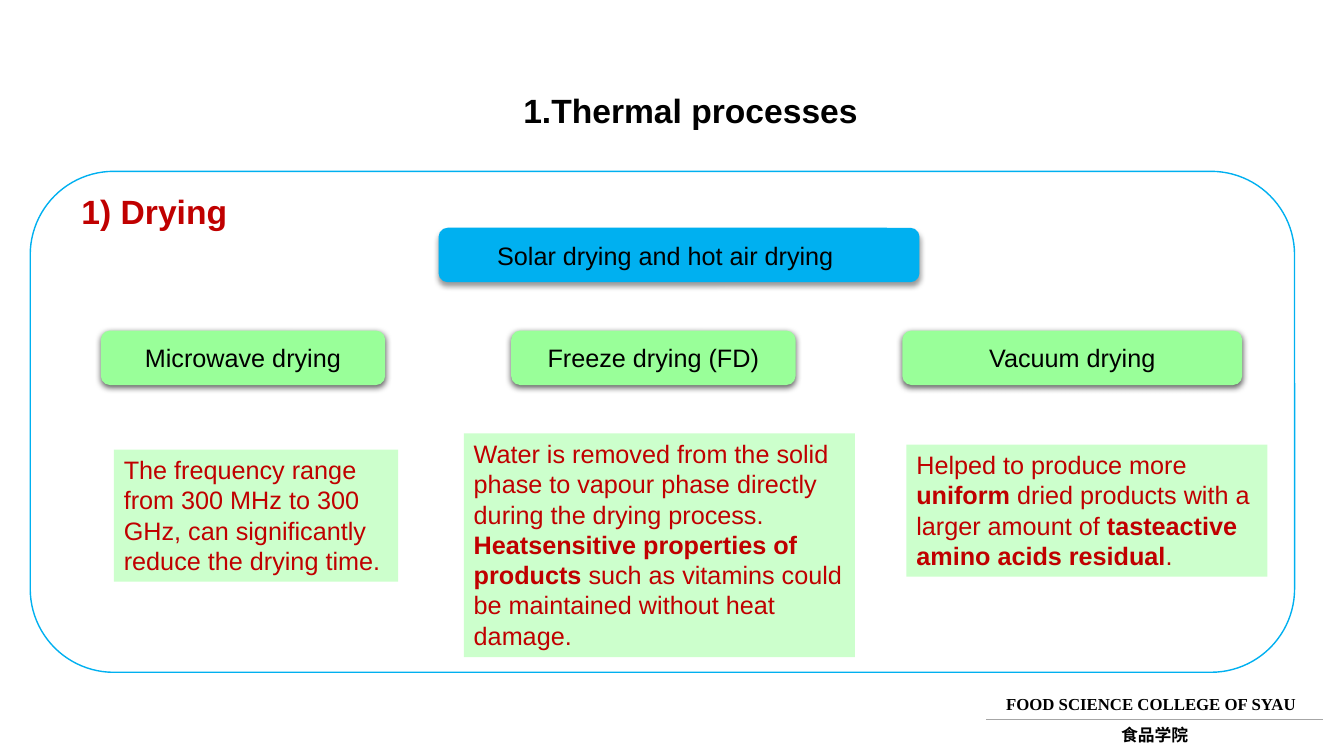
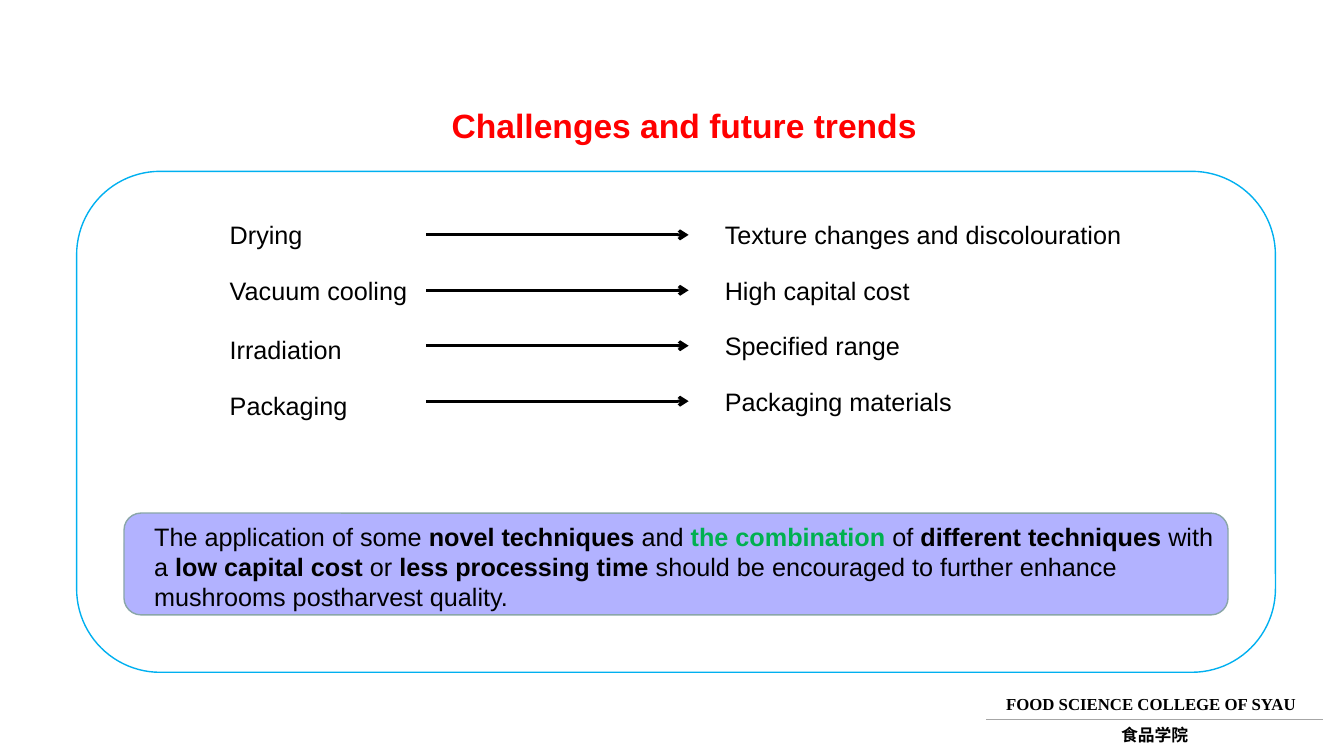
from lxml.etree import SubElement
from pptx import Presentation
from pptx.dml.color import RGBColor
from pptx.enum.shapes import MSO_CONNECTOR, MSO_SHAPE
from pptx.enum.text import MSO_ANCHOR, MSO_AUTO_SIZE, PP_ALIGN
from pptx.oxml.ns import qn
from pptx.util import Inches, Pt

# Shared look
COLORS = {
    "black": "000000", "white": "FFFFFF", "gray": "A6A6A6", "red": "FF0000",
    "dark_red": "C00000", "blue": "00B0F0", "green": "99FF99",
    "pale_green": "CCFFCC", "leaf": "00B050", "violet": "9999FF", "slate": "8AA6A8",
}
BODY_FONT = "Arial"
BODY_SIZE = 18
HEADING_SIZE = 24
TEXT_MARGINS = (0.1, 0.05, 0.1, 0.05)
PANEL_TOP, PANEL_HEIGHT = 1.7, 4.97

# Footer: text, font, box
FOOTER_TEXTS = [
    ("FOOD SCIENCE COLLEGE OF SYAU", "Times New Roman", (9.88, 6.83, 3.17, 0.3)),
    ("食品学院", "Noto Sans CJK SC", (11.02, 7.14, 0.88, 0.3)),
]

# Slide 1: a button with its note; a run is (text, bold)
BUTTON_TOP, BUTTON_HEIGHT = 3.28, 0.54
METHODS = [
    {"name": "Microwave drying", "left": 1, "width": 2.82,
     "note_box": (1.13, 4.46, 2.82, 1.31),
     "note": [[("The frequency range from 300 MHz to 300 GHz, can significantly "
                "reduce the drying time.", False)]]},
    {"name": "Freeze drying (FD)", "left": 5.07, "width": 2.82,
     "note_box": (4.6, 4.3, 3.88, 2.22),
     "note": [[("Water is removed from the solid phase to vapour phase directly "
                "during the drying process. ", False),
               ("Heatsensitive properties of products", True),
               (" such as vitamins could be maintained without heat damage.", False)]]},
    {"name": "Vacuum drying", "left": 8.95, "width": 3.37,
     "note_box": (8.99, 4.41, 3.58, 1.31),
     "note": [[("Helped to produce more ", False), ("uniform", True),
               (" dried products with a larger amount of ", False),
               ("tasteactive", True)],
              [("amino acids residual", True), (".", False)]]},
]

# Slide 2: technique, its drop below the row, challenge
CHALLENGES = [
    ("Drying", 0, "Texture changes and discolouration"),
    ("Vacuum cooling", 0, "High capital cost"),
    ("Irradiation", 0.04, "Specified range"),
    ("Packaging", 0.04, "Packaging materials"),
]
ROW_TOP, ROW_STEP, ROW_HEIGHT = 2.13, 0.55, 0.4
CONCLUSION = [[
    ("The application of some ", False), ("novel techniques ", True),
    ("and ", False), ("the combination ", True, "leaf"), ("of ", False),
    ("different techniques", True), (" with a ", False),
    ("low capital cost ", True), ("or ", False), ("less processing time ", True),
    ("should be encouraged to further enhance mushrooms postharvest quality.", False),
]]


def rgb(name):
    return RGBColor.from_string(COLORS[name])


def place(box):
    return [Inches(value) for value in box]


def write(shape, paragraphs, color="black", size=BODY_SIZE, font=BODY_FONT,
          align=PP_ALIGN.LEFT, anchor=MSO_ANCHOR.TOP, margins=TEXT_MARGINS):
    """Fill a shape with paragraphs of (text, bold[, color]) runs."""
    frame = shape.text_frame
    frame.word_wrap = True
    frame.auto_size = MSO_AUTO_SIZE.NONE
    frame.vertical_anchor = anchor
    (frame.margin_left, frame.margin_top,
     frame.margin_right, frame.margin_bottom) = place(margins)
    for index, runs in enumerate(paragraphs):
        para = frame.paragraphs[0] if index == 0 else frame.add_paragraph()
        para.alignment = align
        for text, bold, *own_color in runs:
            span = para.add_run()
            span.text = text
            span.font.name = font
            span.font.size = Pt(size)
            span.font.bold = bold
            span.font.color.rgb = rgb(own_color[0] if own_color else color)
            SubElement(span.font._element, qn("a:ea"), typeface=font)


def add_text(page, box, text, bold=False, **style):
    write(page.shapes.add_textbox(*place(box)), [[(text, bold)]], **style)


def add_box(page, kind, box, fill, line=None):
    shape = page.shapes.add_shape(kind, *place(box))
    shape.shadow.inherit = False
    shape.fill.solid()
    shape.fill.fore_color.rgb = rgb(fill)
    if line:
        shape.line.color.rgb = rgb(line)
        shape.line.width = Pt(1)
    else:
        shape.line.fill.background()
    return shape


def add_line(page, start, end, color, width):
    line = page.shapes.add_connector(MSO_CONNECTOR.STRAIGHT, *place(start + end))
    line.line.color.rgb = rgb(color)
    line.line.width = Pt(width)
    SubElement(line.element.spPr, qn("a:effectLst"))
    return line


def add_button(page, box, text, fill, shadow, margins=TEXT_MARGINS):
    """Rounded button with a downward shadow of (opacity, blur, distance)."""
    button = add_box(page, MSO_SHAPE.ROUNDED_RECTANGLE, box, fill)
    opacity, blur, distance = shadow
    effects = button.element.spPr.find(qn("a:effectLst"))
    outer = SubElement(effects, qn("a:outerShdw"), blurRad=str(Pt(blur)),
                       dist=str(Pt(distance)), dir="5400000", rotWithShape="0")
    tint = SubElement(outer, qn("a:srgbClr"), val=COLORS["black"])
    SubElement(tint, qn("a:alpha"), val=str(opacity * 1000))
    write(button, [[(text, False)]], align=PP_ALIGN.CENTER,
          anchor=MSO_ANCHOR.MIDDLE, margins=margins)


def add_page(deck, layout, title, title_box, title_color, panel_left, panel_width):
    page = deck.slides.add_slide(layout)
    heading = page.shapes.title
    heading.left, heading.top, heading.width, heading.height = place(title_box)
    write(heading, [[(title, True)]], color=title_color, size=HEADING_SIZE)
    add_box(page, MSO_SHAPE.ROUNDED_RECTANGLE,
            (panel_left, PANEL_TOP, panel_width, PANEL_HEIGHT), "white", "blue")
    return page


def move_footer_to_layout(page, layout):
    """Draw the footer once and hand it to the layout all slides use."""
    first = len(page.shapes)
    add_line(page, (13.12, 7.14), (9.78, 7.14), "gray", 0.5)
    for text, font, box in FOOTER_TEXTS:
        add_text(page, box, text, bold=True, size=12, font=font)
    for shape in list(page.shapes)[first:]:
        layout.shapes.element.append(shape.element)


def build_drying(deck, layout):
    page = add_page(deck, layout, "1.Thermal processes", (5.09, 0.84, 3.7, 0.51),
                    "black", 0.3, 12.54)
    move_footer_to_layout(page, layout)
    add_text(page, (0.71, 1.84, 1.86, 0.51), "1) Drying", bold=True,
             color="dark_red", size=HEADING_SIZE)
    add_button(page, (4.35, 2.26, 4.77, BUTTON_HEIGHT),
               "Solar drying and hot air drying", "blue", (40, 4, 3),
               margins=(0.1, 0.05, 0.37, 0.05))
    for method in METHODS:
        add_button(page, (method["left"], BUTTON_TOP, method["width"], BUTTON_HEIGHT),
                   method["name"], "green", (63, 4.5, 1.5))
        note = add_box(page, MSO_SHAPE.RECTANGLE, method["note_box"], "pale_green")
        write(note, method["note"], color="dark_red")


def build_challenges(deck, layout):
    page = add_page(deck, layout, "Challenges and future trends",
                    (4.38, 0.99, 4.82, 0.51), "red", 0.76, 11.89)
    for row, (technique, drop, challenge) in enumerate(CHALLENGES):
        top = ROW_TOP + row * ROW_STEP
        middle = top + ROW_HEIGHT / 2
        add_text(page, (2.18, top + drop, 2.05, ROW_HEIGHT), technique)
        add_text(page, (7.09, top, 4.49, ROW_HEIGHT), challenge)
        arrow = add_line(page, (4.23, middle), (6.83, middle), "black", 2.25)
        SubElement(arrow.line._get_or_add_ln(), qn("a:tailEnd"), type="arrow")

    # Conclusion on a see-through box
    conclusion = add_box(page, MSO_SHAPE.ROUNDED_RECTANGLE,
                         (1.23, 5.09, 10.95, 1.01), "violet", "slate")
    tint = conclusion.element.spPr.find(qn("a:solidFill")).find(qn("a:srgbClr"))
    SubElement(tint, qn("a:alpha"), val="75000")
    write(conclusion, CONCLUSION, margins=(0.25, 0.03, 0.04, 0))
    conclusion.text_frame.margin_left = Inches(0.25)


def main():
    deck = Presentation()
    deck.slide_width, deck.slide_height = Inches(13.33), Inches(7.5)
    layout = deck.slide_layouts.get_by_name("Title Only")
    build_drying(deck, layout)
    build_challenges(deck, layout)
    deck.save("out.pptx")


if __name__ == "__main__":
    main()
